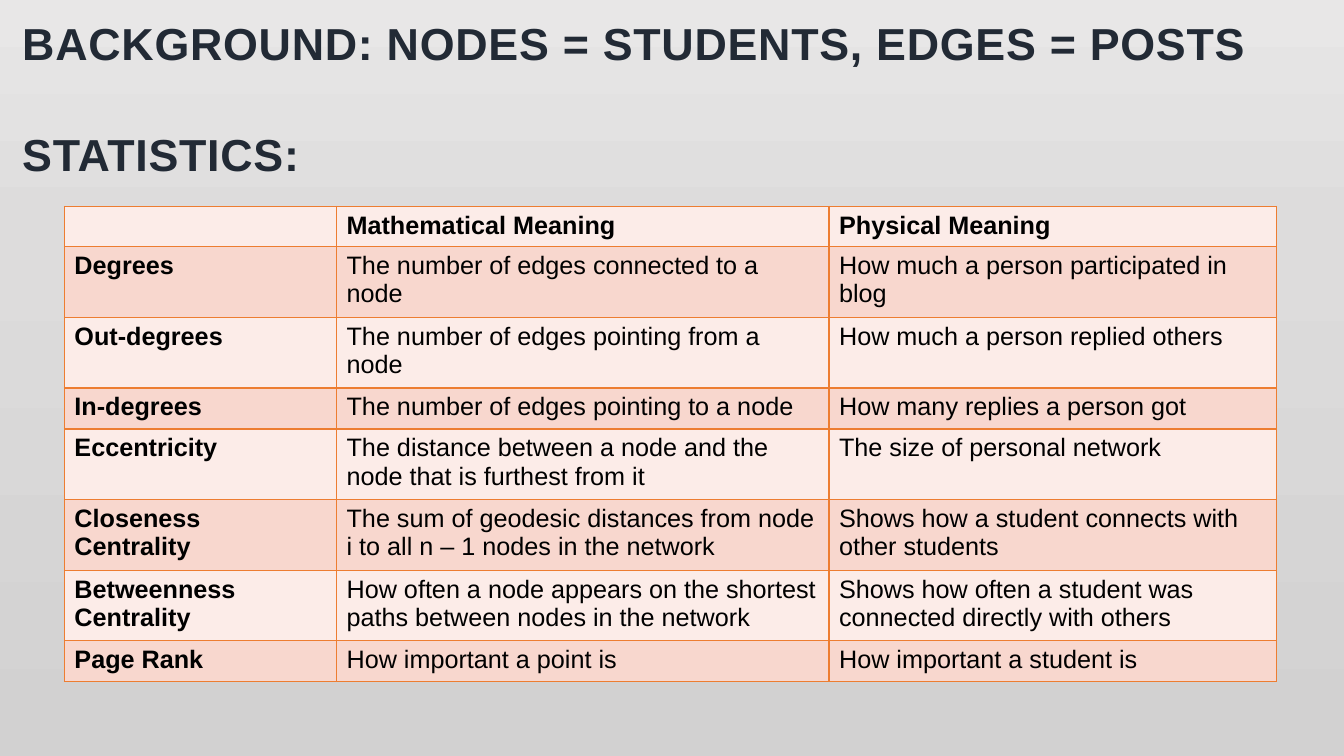
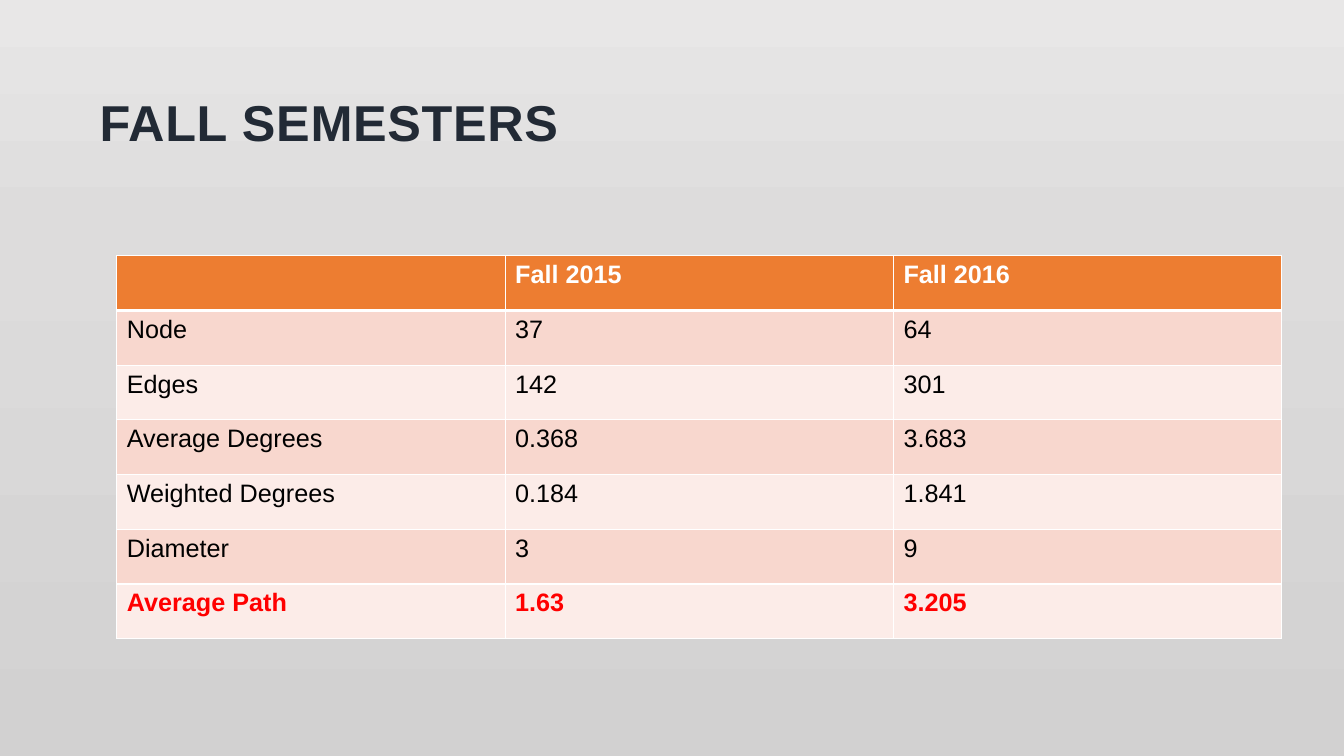
"""Build two slides of blog network statistics, each with a heading and a table."""

from copy import deepcopy
from dataclasses import dataclass
from typing import Callable

from lxml.etree import SubElement
from pptx import Presentation
from pptx.dml.color import RGBColor
from pptx.enum.text import MSO_ANCHOR
from pptx.oxml.ns import qn
from pptx.presentation import Presentation as Deck
from pptx.slide import Slide
from pptx.table import _Cell as Cell
from pptx.util import Pt

FONT = "Arial"
TABLE_TEXT_SIZE = 18
NAVY = RGBColor(0x22, 0x2A, 0x35)
ORANGE = RGBColor(0xED, 0x7D, 0x31)
ROSE = RGBColor(0xF8, 0xD7, 0xCE)
PALE_ROSE = RGBColor(0xFC, 0xEC, 0xE8)
WHITE = RGBColor(0xFF, 0xFF, 0xFF)
BLACK = RGBColor(0x00, 0x00, 0x00)
RED = RGBColor(0xFF, 0x00, 0x00)
BACKDROP = (
    (0, RGBColor(0xE8, 0xE7, 0xE7)),
    (0.31, RGBColor(0xDD, 0xDC, 0xDC)),
    (1, RGBColor(0xD2, 0xD1, 0xD1)),
)


@dataclass(frozen=True)
class Title:
    text: str
    left: float
    top: float
    width: float
    size: float
    paragraph_gap: float = 0
    height: float = 90


@dataclass(frozen=True)
class CellStyle:
    fill: RGBColor
    color: RGBColor = BLACK
    bold: bool = False
    top_line: float = 1
    bottom_line: float = 1


@dataclass(frozen=True)
class Grid:
    rows: tuple[tuple[str, ...], ...]
    left: float
    top: float
    column_widths: tuple[float, ...]
    row_heights: tuple[float, ...]
    line_color: RGBColor
    style: Callable[[int, int], CellStyle]


def band(row: int) -> RGBColor:
    return ROSE if row % 2 else PALE_ROSE


def measure_style(row: int, column: int) -> CellStyle:
    return CellStyle(band(row), bold=row == 0 or column == 0)


def semester_style(row: int, column: int) -> CellStyle:
    if row == 0:
        return CellStyle(ORANGE, WHITE, bold=True, bottom_line=3)
    if row == len(SEMESTERS) - 1:
        return CellStyle(band(row), RED, bold=True)
    return CellStyle(band(row), top_line=3 if row == 1 else 1)


MEASURES = (
    ("", "Mathematical Meaning", "Physical Meaning"),
    ("Degrees", "The number of edges connected to a node", "How much a person participated in blog"),
    ("Out-degrees", "The number of edges pointing from a node", "How much a person replied others"),
    ("In-degrees", "The number of edges pointing to a node", "How many replies a person got"),
    (
        "Eccentricity",
        "The distance between a node and the node that is furthest from it",
        "The size of personal network",
    ),
    (
        "Closeness\nCentrality",
        "The sum of geodesic distances from node i to all n – 1 nodes in the network",
        "Shows how a student connects with other students",
    ),
    (
        "Betweenness\nCentrality",
        "How often a node appears on the shortest paths between nodes in the network",
        "Shows how often a student was connected directly with others",
    ),
    ("Page Rank", "How important a point is", "How important a student is"),
)

SEMESTERS = (
    ("", "Fall 2015", "Fall 2016"),
    ("Node", "37", "64"),
    ("Edges", "142", "301"),
    ("Average Degrees", "0.368", "3.683"),
    ("Weighted Degrees", "0.184", "1.841"),
    ("Diameter", "3", "9"),
    ("Average Path", "1.63", "3.205"),
)

PAGES = (
    (
        Title(
            "BACKGROUND: NODES = STUDENTS, EDGES = POSTS\nSTATISTICS:",
            left=8.8, top=42.5, width=921, size=32, paragraph_gap=41,
        ),
        Grid(
            MEASURES, 46, 147.5, (194.4, 351.8, 319.8),
            (27, 47.5, 47.5, 29.2, 47.5, 47.5, 47.5, 29.2), ORANGE, measure_style,
        ),
    ),
    (
        Title("FALL SEMESTERS", left=64, top=21.6, width=832, size=36),
        Grid(
            SEMESTERS, 83.4, 182.6, (277.4,) * 3,
            (39.1,) * len(SEMESTERS), WHITE, semester_style,
        ),
    ),
)


def paint_backdrop(deck: Deck) -> None:
    fill = deck.slide_master.background.fill
    fill.gradient()
    fill.gradient_angle = 270
    last_stop = fill.gradient_stops[-1]._gs
    last_stop.addprevious(deepcopy(last_stop))
    for stop, (position, color) in zip(fill.gradient_stops, BACKDROP):
        stop.position = position
        stop.color.rgb = color


def add_title(page: Slide, title: Title) -> None:
    box = page.shapes.add_textbox(Pt(title.left), Pt(title.top), Pt(title.width), Pt(title.height))
    frame = box.text_frame
    frame.word_wrap = True
    frame.vertical_anchor = MSO_ANCHOR.BOTTOM
    frame.text = title.text
    for para in frame.paragraphs:
        para.space_before = Pt(0 if para is frame.paragraphs[0] else title.paragraph_gap)
        for span in para.runs:
            span.font.name = FONT
            span.font.size = Pt(title.size)
            span.font.bold = True
            span.font.color.rgb = NAVY
            span._r.get_or_add_rPr().set("spc", "50")
    frame.paragraphs[0].space_before = Pt(0)


def add_borders(cell: Cell, color: RGBColor, style: CellStyle) -> None:
    properties = cell._tc.get_or_add_tcPr()
    widths = {"lnL": 1, "lnR": 1, "lnT": style.top_line, "lnB": style.bottom_line}
    for side, width in widths.items():
        line = SubElement(properties, qn(f"a:{side}"), w=str(Pt(width)))
        solid = SubElement(line, qn("a:solidFill"))
        SubElement(solid, qn("a:srgbClr"), val=str(color))


def fill_cell(cell: Cell, text: str, line_color: RGBColor, style: CellStyle) -> None:
    add_borders(cell, line_color, style)
    cell.fill.solid()
    cell.fill.fore_color.rgb = style.fill
    cell.text_frame.text = text
    for para in cell.text_frame.paragraphs:
        for span in para.runs:
            span.font.name = FONT
            span.font.size = Pt(TABLE_TEXT_SIZE)
            span.font.bold = style.bold
            span.font.color.rgb = style.color


def add_grid(page: Slide, grid: Grid) -> None:
    table = page.shapes.add_table(
        len(grid.rows), len(grid.column_widths), Pt(grid.left), Pt(grid.top),
        Pt(sum(grid.column_widths)), Pt(sum(grid.row_heights)),
    ).table
    table.horz_banding = False
    table.first_row = False
    for column, width in zip(table.columns, grid.column_widths):
        column.width = Pt(width)
    for row, height in zip(table.rows, grid.row_heights):
        row.height = Pt(height)
    for row_index, texts in enumerate(grid.rows):
        for column_index, text in enumerate(texts):
            style = grid.style(row_index, column_index)
            fill_cell(table.cell(row_index, column_index), text, grid.line_color, style)


def main() -> None:
    deck = Presentation()
    deck.slide_width, deck.slide_height = Pt(960), Pt(540)
    paint_backdrop(deck)
    for title, grid in PAGES:
        page = deck.slides.add_slide(deck.slide_layouts[6])
        add_title(page, title)
        add_grid(page, grid)
    deck.save("out.pptx")


if __name__ == "__main__":
    main()
